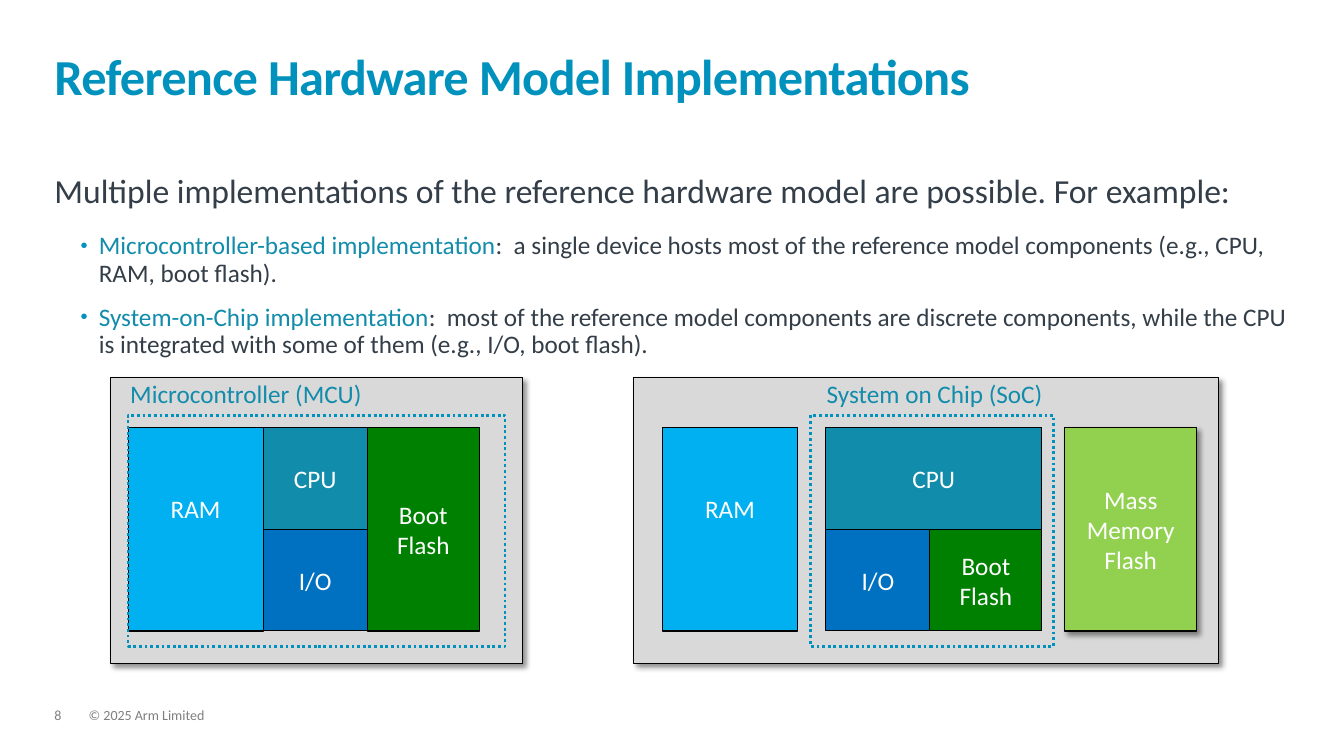
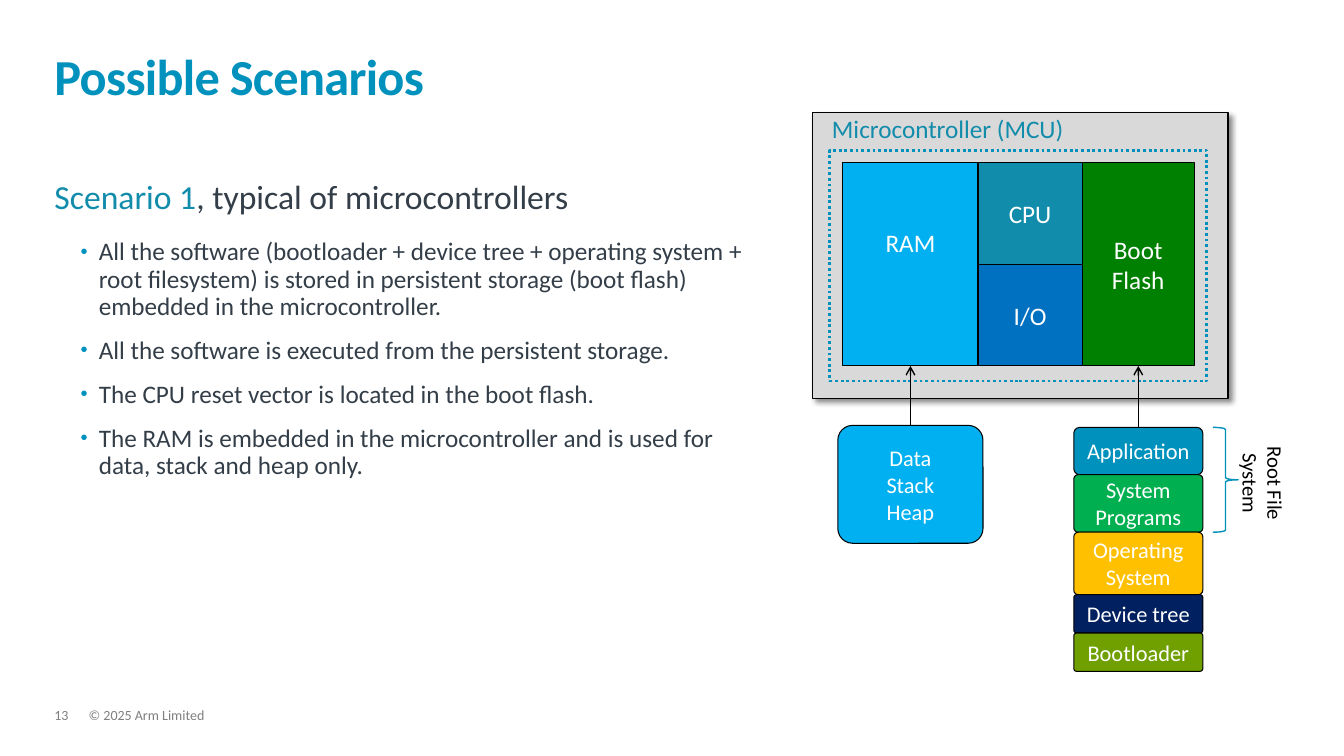
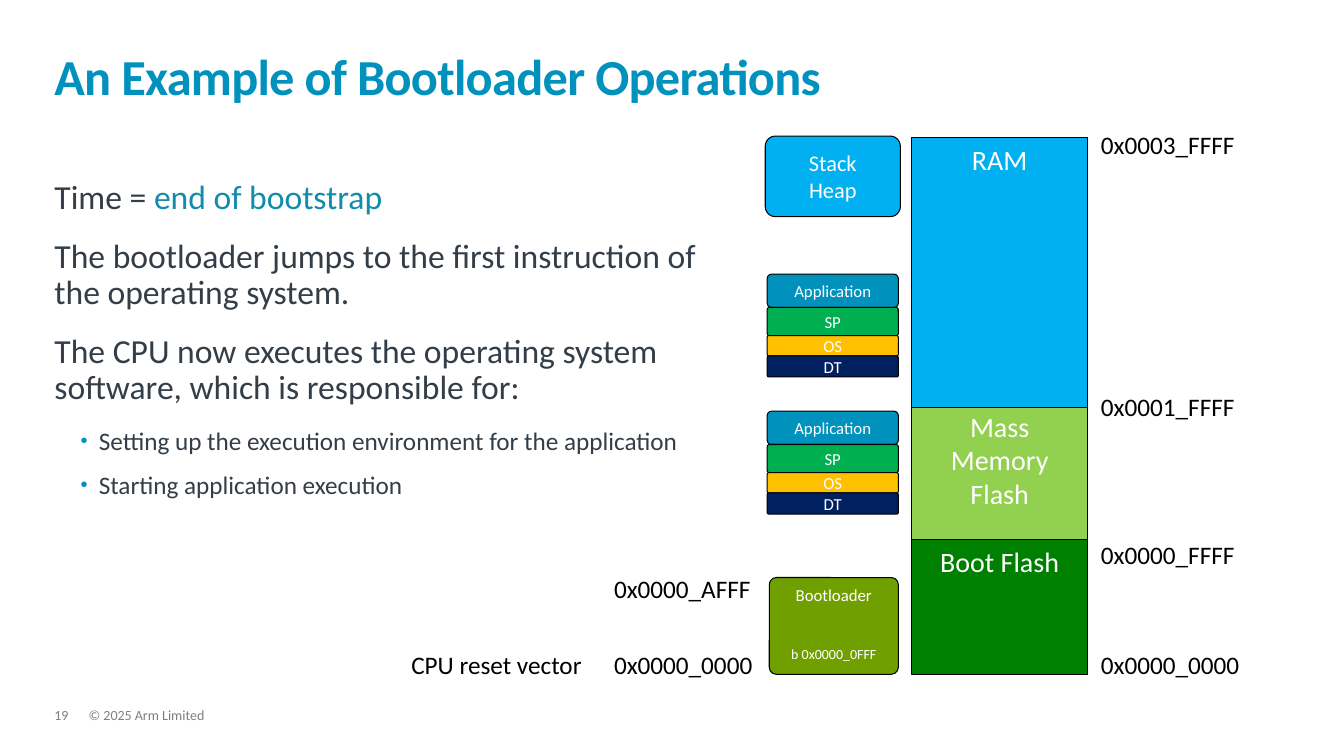
from dataclasses import dataclass, replace
from typing import Any, NamedTuple, Optional

from lxml.etree import SubElement
from pptx import Presentation
from pptx.dml.color import RGBColor
from pptx.enum.dml import MSO_LINE
from pptx.enum.shapes import MSO_CONNECTOR, MSO_SHAPE
from pptx.enum.text import MSO_ANCHOR, PP_ALIGN
from pptx.oxml.ns import qn
from pptx.util import Inches, Pt

# Grid: 40 columns by 22.5 rows of square cells
SLIDE_WIDTH, SLIDE_HEIGHT = Inches(13.33), Inches(7.5)
CELL = SLIDE_HEIGHT / 22.5

# Shared look
FONT = "Calibri"
BRAND, ACCENT, INK = "0091BD", "128CAB", "333E48"
BLACK, WHITE, GREY, PANEL = "000000", "FFFFFF", "7F7F7F", "D9D9D9"
RAM_BLUE, IO_BLUE, BOOT_GREEN, MASS_GREEN = "00B0F0", "0070C0", "008000", "92D050"
PROGRAM_GREEN, SYSTEM_YELLOW, TREE_NAVY, LOADER_OLIVE = "00B050", "FFC000", "002060", "70A000"
WIDE_RADIUS, SLIM_RADIUS = 0.126, 0.072
LEFT_EDGE, FOOTER_TOP = 1.62, 21.09
COPYRIGHT = "© 2025 Arm Limited"
HEADING = {"line_spacing": 0.9, "space_after": Pt(16)}
BULLET = {"line_spacing": 0.9, "space_after": Pt(12)}
CENTER = {"alignment": PP_ALIGN.CENTER}


class Area(NamedTuple):
    """Columns and rows of the grid."""
    left: float
    top: float
    width: float
    height: float

    def lengths(self) -> list[int]:
        return [round(value * CELL) for value in self]


class Span(NamedTuple):
    text: str
    color: str = INK


@dataclass(frozen=True)
class Para:
    spans: tuple[Span, ...]
    size: float
    format: dict[str, Any]
    bullet: bool = False
    bold: bool = False
    tracking: float = 0


@dataclass(frozen=True)
class Block:
    area: Area
    fill: Optional[str] = None
    paras: tuple[Para, ...] = ()
    anchor: Any = MSO_ANCHOR.MIDDLE
    inset_top: float = 0.05
    radius: Optional[float] = None
    shadow: bool = False
    line: str = BLACK
    line_width: float = 0.75
    dash: Any = None


@dataclass(frozen=True)
class Board:
    """A grey panel with a dotted outline around its chip."""
    left: float
    top: float
    width: float
    caption: str
    blocks: tuple[Block, ...]
    outline_shift: float = 0.51
    outline_width: float = 11.22


class Layer(NamedTuple):
    label: str
    fill: str
    height: float
    radius: float = SLIM_RADIUS


# Text
def color(value: str) -> RGBColor:
    return RGBColor.from_string(value)


def set_values(target: Any, values: dict[str, Any]) -> None:
    for name, value in values.items():
        setattr(target, name, value)


def heading(*spans: Span) -> Para:
    return Para(spans, 24, HEADING)


def bullet(*spans: Span) -> Para:
    return Para(spans, 18, BULLET, bullet=True)


def centered(size: float, *lines: str, ink: str = WHITE) -> tuple[Para, ...]:
    return tuple(Para((Span(line, ink),), size, CENTER) for line in lines)


def add_bullet(paragraph: Any) -> None:
    properties = paragraph._p.get_or_add_pPr()
    properties.set("marL", str(Inches(0.44)))
    properties.set("indent", str(Inches(-0.18)))
    bullet_color = SubElement(properties, qn("a:buClr"))
    SubElement(bullet_color, qn("a:srgbClr"), val=BRAND)
    SubElement(properties, qn("a:buSzPct"), val="80000")
    SubElement(properties, qn("a:buFont"), typeface="Arial")
    SubElement(properties, qn("a:buChar"), char="•")


def write(frame: Any, paras: tuple[Para, ...]) -> None:
    for index, para in enumerate(paras):
        paragraph = frame.add_paragraph() if index else frame.paragraphs[0]
        if para.bullet:
            add_bullet(paragraph)
        set_values(paragraph, para.format)
        for span in para.spans:
            run = paragraph.add_run()
            run.text = span.text
            set_values(run.font, {"name": FONT, "size": Pt(para.size), "bold": para.bold})
            run.font.color.rgb = color(span.color)
            if para.tracking:
                run._r.get_or_add_rPr().set("spc", str(round(para.tracking * 100)))


def add_text(page: Any, area: Area, *paras: Para, wrap: bool = True,
             anchor: Any = MSO_ANCHOR.TOP, rotation: float = 0) -> None:
    box = page.shapes.add_textbox(*area.lengths())
    box.rotation = rotation
    set_values(box.text_frame, {
        "word_wrap": wrap, "vertical_anchor": anchor,
        "margin_left": 0, "margin_top": 0, "margin_right": 0, "margin_bottom": 0})
    write(box.text_frame, paras)


# Shapes
def add_shadow(shape: Any) -> None:
    effects = shape._element.spPr.find(qn("a:effectLst"))
    outer = SubElement(effects, qn("a:outerShdw"), blurRad=str(Pt(4)), dist=str(Pt(3)),
                       dir="2700000", algn="tl", rotWithShape="0")
    tint = SubElement(outer, qn("a:srgbClr"), val=BLACK)
    SubElement(tint, qn("a:alpha"), val="43000")


def add_block(page: Any, block: Block, kind: Any = None) -> None:
    rounded = block.radius is not None
    kind = kind or (MSO_SHAPE.ROUNDED_RECTANGLE if rounded else MSO_SHAPE.RECTANGLE)
    shape = page.shapes.add_shape(kind, *block.area.lengths())
    shape.shadow.inherit = False
    if rounded:
        shape.adjustments[0] = block.radius
    if block.fill:
        shape.fill.solid()
        shape.fill.fore_color.rgb = color(block.fill)
    else:
        shape.fill.background()
    shape.line.color.rgb = color(block.line)
    set_values(shape.line, {"width": Pt(block.line_width), "dash_style": block.dash})
    if block.shadow:
        add_shadow(shape)
    set_values(shape.text_frame, {"word_wrap": True, "vertical_anchor": block.anchor,
                                  "margin_top": Inches(block.inset_top)})
    write(shape.text_frame, block.paras)


def add_arrow(page: Any, column: float, start: float, end: float) -> None:
    ends = [round(value * CELL) for value in (column, start, column, end)]
    arrow = page.shapes.add_connector(MSO_CONNECTOR.STRAIGHT, *ends)
    arrow.line.color.rgb = color(BLACK)
    arrow.line.width = Pt(1)
    SubElement(arrow.line._get_or_add_ln(), qn("a:tailEnd"), type="arrow")
    SubElement(arrow._element.spPr, qn("a:effectLst"))


def add_stack(page: Any, left: float, top: float, width: float, size: float,
              layers: list[Layer]) -> None:
    for layer in layers:
        add_block(page, Block(Area(left, top, width, layer.height), layer.fill,
                              centered(size, layer.label), radius=layer.radius))
        top += layer.height


# Hardware boards
CHIP_SHIFT, CHIP_HEIGHT, HALF = 1.47, 6.06, 3.03
RAM_WIDTH, CORE_WIDTH, FLASH_WIDTH = 4.02, 3.1, 3.33


def ram(left: float, top: float) -> Block:
    return Block(Area(left, top, RAM_WIDTH, CHIP_HEIGHT), RAM_BLUE, centered(18, "RAM"),
                 anchor=MSO_ANCHOR.TOP, inset_top=0.65)


def part(label: str, fill: str, *area: float) -> Block:
    return Block(Area(*area), fill, centered(18, label))


def microcontroller(left: float, top: float, width: float, chip_shift: float) -> Board:
    chip, chip_top = left + chip_shift, top + CHIP_SHIFT
    core = chip + RAM_WIDTH
    return Board(left, top, width, "Microcontroller (MCU)", (
        part("CPU", ACCENT, core, chip_top, CORE_WIDTH, HALF),
        part("Boot Flash", BOOT_GREEN, core + CORE_WIDTH, chip_top, FLASH_WIDTH, CHIP_HEIGHT),
        part("I/O", IO_BLUE, core, chip_top + HALF, CORE_WIDTH, HALF),
        ram(chip, chip_top)))


def system_on_chip(left: float, top: float) -> Board:
    chip, chip_top = left + 5.73, top + CHIP_SHIFT
    mass = Block(Area(left + 12.84, chip_top, 3.93, CHIP_HEIGHT), MASS_GREEN,
                 centered(18, "Mass Memory", "Flash"), shadow=True)
    return Board(left, top, 17.43, "System on Chip (SoC)", (
        mass,
        part("CPU", ACCENT, chip, chip_top, CORE_WIDTH + FLASH_WIDTH, HALF),
        part("Boot Flash", BOOT_GREEN, chip + CORE_WIDTH, chip_top + HALF, FLASH_WIDTH, HALF),
        part("I/O", IO_BLUE, chip, chip_top + HALF, CORE_WIDTH, HALF),
        ram(left + 0.87, chip_top)), outline_shift=5.28, outline_width=7.23)


def add_board(page: Any, board: Board) -> None:
    panel = Block(Area(board.left, board.top, board.width, 8.49), PANEL, shadow=True)
    outline_left = board.left + board.outline_shift
    outline = Block(Area(outline_left, board.top + 1.11, board.outline_width, 6.87),
                    line=BRAND, line_width=2, dash=MSO_LINE.ROUND_DOT)
    for block in (panel, *board.blocks, outline):
        add_block(page, block)
    # The caption sits over its outline; the narrow one is centred on it
    caption_left = outline_left + (0.12 if board.outline_width < 10 else -0.06)
    add_text(page, Area(caption_left, board.top, 7.14, 0.99),
             *centered(18, board.caption, ink=ACCENT), wrap=False)


# Pages
def add_page(deck: Any, number: int, title: str, body_top: float, body_width: float,
             *body: Para) -> Any:
    page = deck.slides.add_slide(deck.slide_layouts[6])
    small = {"line_spacing": 0.9, "space_after": Pt(6)}
    for left, width, text in ((2.64, 27.39, COPYRIGHT), (LEFT_EDGE, 1.02, str(number))):
        add_text(page, Area(left, FOOTER_TOP, width, 0.45), Para((Span(text, GREY),), 10, small))
    add_text(page, Area(LEFT_EDGE, 0.96, 36.69, 2.19),
             Para((Span(title, BRAND),), 36, {"line_spacing": 0.85}, bold=True, tracking=-0.5),
             anchor=MSO_ANCHOR.BOTTOM)
    add_text(page, Area(LEFT_EDGE, body_top, body_width, 13.41), *body)
    return page


def add_implementations(deck: Any) -> None:
    page = add_page(
        deck, 8, "Reference Hardware Model Implementations", 5.19, 36.69,
        heading(Span("Multiple implementations of the reference hardware model are possible. "
                     "For example:")),
        bullet(Span("Microcontroller-based implementation", ACCENT),
               Span(":  a single device hosts most of the reference model components "
                    "(e.g., CPU, RAM, boot flash).")),
        bullet(Span("System-on-Chip implementation", ACCENT),
               Span(":  most of the reference model components are discrete components, while "
                    "the CPU is integrated with some of them (e.g., I/O, boot flash).")))
    add_board(page, microcontroller(3.3, 11.25, 12.24, 0.51))
    add_board(page, system_on_chip(18.84, 11.25))


def add_scenarios(deck: Any) -> None:
    page = add_page(
        deck, 13, "Possible Scenarios", 5.37, 20.64,
        heading(Span("Scenario 1", ACCENT), Span(", typical of microcontrollers")),
        bullet(Span("All the software (bootloader + device tree + operating system + root "
                    "filesystem) is stored in persistent storage (boot flash) embedded in "
                    "the microcontroller.")),
        bullet(Span("All the software is executed from the persistent storage.")),
        bullet(Span("The CPU reset vector is located in the boot flash.")),
        bullet(Span("The RAM is embedded in the microcontroller and is used for data, "
                    "stack and heap only.")))
    add_board(page, microcontroller(24.18, 3.36, 12.36, 0.9))

    # Contents of each memory
    stack_left, stack_top, stack_width = 31.95, 12.72, 3.84
    add_stack(page, stack_left, stack_top, stack_width, 16, [
        Layer("Application", BRAND, 1.41, WIDE_RADIUS),
        Layer("System Programs", PROGRAM_GREEN, 1.71),
        Layer("Operating System", SYSTEM_YELLOW, 1.86),
        Layer("Device tree", TREE_NAVY, 1.14),
        Layer("Bootloader", LOADER_OLIVE, 1.14)])
    data = Area(24.93, 12.66, 4.32, 3.51)
    add_block(page, Block(data, RAM_BLUE, centered(16, "Data", "Stack", "Heap"),
                          radius=WIDE_RADIUS))
    chip_bottom = 3.36 + CHIP_SHIFT + CHIP_HEIGHT
    add_arrow(page, stack_left + stack_width / 2, stack_top, chip_bottom)
    add_arrow(page, data.left + data.width / 2, data.top, chip_bottom)

    # Root file system brace
    add_block(page, Block(Area(36.09, stack_top, 0.75, 3.12), line=BRAND, line_width=1),
              MSO_SHAPE.RIGHT_BRACE)
    add_text(page, Area(36.21, 13.71, 2.88, 1.35),
             *centered(14.8, "Root File", "System", ink=BLACK), wrap=False, rotation=90)


def add_bootloader(deck: Any) -> None:
    page = add_page(
        deck, 19, "An Example of Bootloader Operations", 5.37, 19.2,
        heading(Span("Time = "), Span("end of bootstrap", ACCENT)),
        heading(Span("The bootloader jumps to the first instruction of the operating system.")),
        heading(Span("The CPU now executes the operating system software, "
                     "which is responsible for:")),
        bullet(Span("Setting up the execution environment for the application")),
        bullet(Span("Starting application execution")))

    # Memory map, from the lowest address up
    for top, height, fill, lines in ((16.05, 4.02, BOOT_GREEN, ("Boot Flash",)),
                                     (12.03, 4.02, MASS_GREEN, ("Mass Memory", "Flash")),
                                     (4.08, 8.04, RAM_BLUE, ("RAM",))):
        add_block(page, Block(Area(27.12, top, 5.25, height), fill, centered(20, *lines),
                              anchor=MSO_ANCHOR.TOP))

    # Addresses
    for left, top, label in ((32.76, 19.32, "0x0000_0000"), (32.76, 16.05, "0x0000_FFFF"),
                             (32.76, 11.64, "0x0001_FFFF"), (32.76, 3.84, "0x0003_FFFF"),
                             (12.24, 19.32, "CPU reset vector"), (18.27, 19.32, "0x0000_0000"),
                             (18.27, 17.07, "0x0000_AFFF")):
        add_text(page, Area(left, top, 5.4, 0.81), Para((Span(label, BLACK),), 18, {}))

    # Contents of each memory
    name, jump = centered(12, "Bootloader", "b 0x0000_0FFF")
    jump = replace(jump, size=10, format={**CENTER, "space_before": Pt(29)})
    add_block(page, Block(Area(22.89, 17.19, 3.84, 2.88), LOADER_OLIVE, (name, jump),
                          anchor=MSO_ANCHOR.TOP, radius=SLIM_RADIUS))
    add_block(page, Block(Area(22.77, 4.05, 4.02, 2.4), RAM_BLUE,
                          centered(16, "Stack", "Heap"), radius=WIDE_RADIUS))
    for top in (12.24, 8.16):
        add_stack(page, 22.83, top, 3.9, 12, [
            Layer("Application", BRAND, 0.99, WIDE_RADIUS),
            Layer("SP", PROGRAM_GREEN, 0.84),
            Layer("OS", SYSTEM_YELLOW, 0.6),
            Layer("DT", TREE_NAVY, 0.63)])


def main() -> None:
    deck = Presentation()
    deck.slide_width, deck.slide_height = SLIDE_WIDTH, SLIDE_HEIGHT
    for add_content in (add_implementations, add_scenarios, add_bootloader):
        add_content(deck)
    deck.save("out.pptx")


if __name__ == "__main__":
    main()
